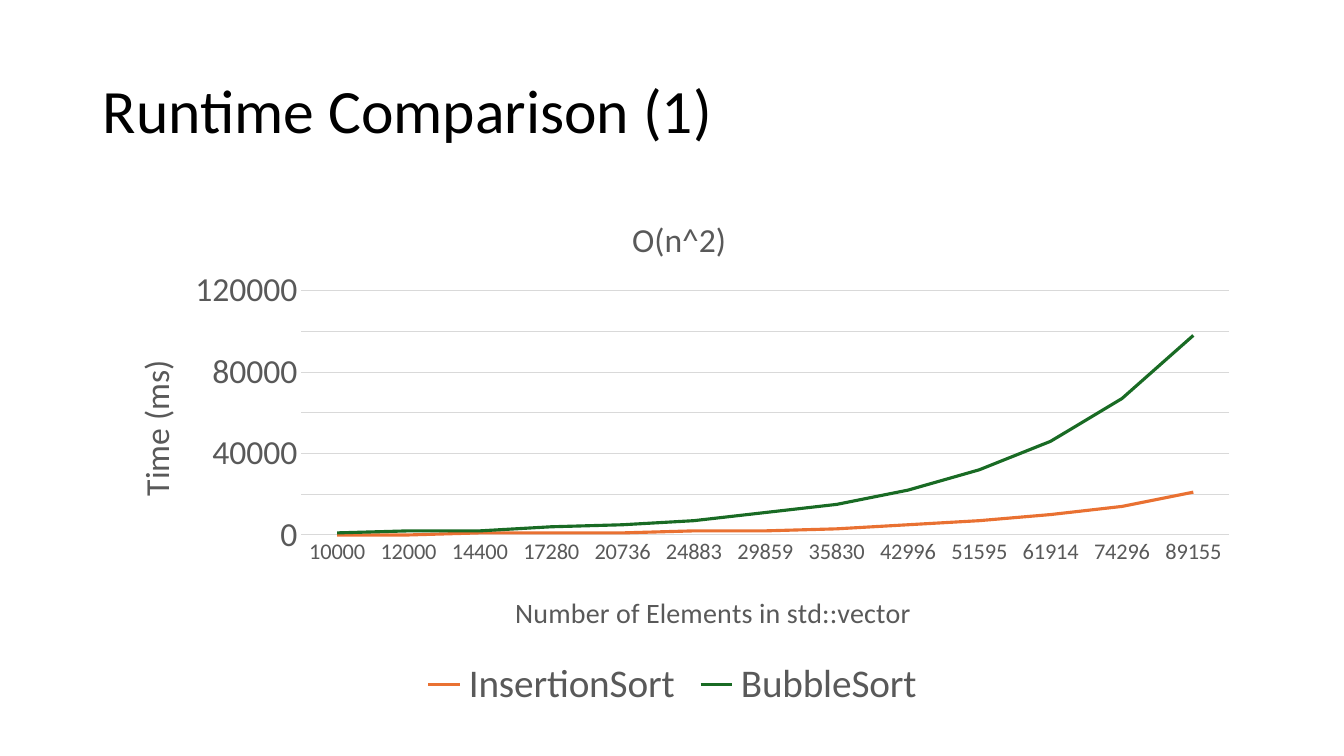
from lxml.etree import SubElement
from pptx import Presentation
from pptx.chart.data import CategoryChartData
from pptx.dml.color import RGBColor
from pptx.enum.chart import XL_CHART_TYPE, XL_LEGEND_POSITION, XL_TICK_MARK
from pptx.enum.text import MSO_ANCHOR
from pptx.oxml.ns import qn
from pptx.util import Emu, Pt

SCALE = 9144  # EMU per px, 100 px to the inch
FONT = "Calibri"
BLACK = RGBColor(0x00, 0x00, 0x00)
GRAY = RGBColor(0x59, 0x59, 0x59)
GRID = RGBColor(0xD9, 0xD9, 0xD9)
ORANGE = RGBColor(0xE9, 0x71, 0x32)
GREEN = RGBColor(0x19, 0x6B, 0x24)

SIZES = [10000, 12000, 14400, 17280, 20736, 24883, 29859,
         35830, 42996, 51595, 61914, 74296, 89155]
SORTS = [
    ("InsertionSort", ORANGE, [0, 0, 1000, 1000, 1000, 2000, 2000, 3000,
                               5000, 7000, 10000, 14000, 21000]),
    ("BubbleSort", GREEN, [1000, 2000, 2000, 4000, 5000, 7000, 11000, 15000,
                           22000, 32000, 46000, 67000, 98000]),
]


def px(num):
    return Emu(num * SCALE)


def style(font, size, color=GRAY):
    font.name = FONT
    font.size = Pt(size)
    font.bold = False
    font.color.rgb = color


def write(frame, text, size, color=GRAY):
    part = frame.paragraphs[0]
    run = part.add_run()
    run.text = text
    style(run.font, size, color)
    return part


def place(node, index, **spots):
    """Set a manual layout, in fractions of the chart."""
    box = node.find(qn("c:layout"))
    if box is None:
        box = node.makeelement(qn("c:layout"), {})
        node.insert(index, box)
    man = SubElement(box, qn("c:manualLayout"))
    if "w" in spots:
        SubElement(man, qn("c:layoutTarget"), val="inner")
    for key in "xy":
        SubElement(man, qn(f"c:{key}Mode"), val="edge")
    for key, val in spots.items():
        SubElement(man, qn(f"c:{key}"), val=str(val))


def label(title, text, size, x, y):
    write(title.text_frame, text, size)
    place(title._element, 1, x=x, y=y)


def rule(line, color, width):
    line.color.rgb = color
    line.width = Pt(width)


def add_lines(slide):
    data = CategoryChartData()
    data.categories = [str(size) for size in SIZES]
    for name, _, times in SORTS:
        data.add_series(name, times)
    chart = slide.shapes.add_chart(XL_CHART_TYPE.LINE, px(92), px(183),
                                   px(1150), px(527), data).chart
    style(chart.font, 10, BLACK)
    chart.plots[0].vary_by_categories = False
    for row, (_, color, _) in zip(chart.plots[0].series, SORTS):
        row.smooth = False
        rule(row.format.line, color, 2.25)

    # Axes
    cat, val = chart.category_axis, chart.value_axis
    for axis, size in ((cat, 16), (val, 24)):
        axis.major_tick_mark = axis.minor_tick_mark = XL_TICK_MARK.NONE
        style(axis.tick_labels.font, size)
    rule(cat.format.line, GRID, 0.75)
    val.format.line.fill.background()
    val.minimum_scale, val.maximum_scale = 0, 120000
    val.major_unit = 20000
    val.has_major_gridlines = True
    rule(val.major_gridlines.format.line, GRID, 0.75)

    # Titles and plot area
    chart.has_title = True
    label(chart.chart_title, "O(n^2)", 24, 0.46, 0.05)
    label(cat.axis_title, "Number of Elements in std::vector", 20, 0.36, 0.76)
    label(val.axis_title, "Time (ms)", 24, 0.03, 0.32)
    body = val.axis_title._element.find(".//" + qn("a:bodyPr"))
    body.set("rot", "-5400000")
    body.set("vert", "horz")
    place(chart._chartSpace.chart.plotArea, 0, x=0.18, y=0.2, w=0.8, h=0.46)

    # Legend
    chart.has_legend = True
    chart.legend.position = XL_LEGEND_POSITION.BOTTOM
    chart.legend.include_in_layout = False
    style(chart.legend.font, 28)


def add_title(slide, text):
    title = slide.shapes.title
    title.left, title.top = px(92), px(40)
    title.width, title.height = px(1150), px(145)
    frame = title.text_frame
    frame.word_wrap = True
    frame.vertical_anchor = MSO_ANCHOR.MIDDLE
    part = write(frame, text, 44, BLACK)
    part.line_spacing = 0.9
    part.alignment = 1  # left


def main():
    deck = Presentation()
    deck.slide_width, deck.slide_height = px(1333), px(750)
    slide = deck.slides.add_slide(deck.slide_layouts[5])
    add_title(slide, "Runtime Comparison (1)")
    add_lines(slide)
    deck.save("out.pptx")


if __name__ == "__main__":
    main()
